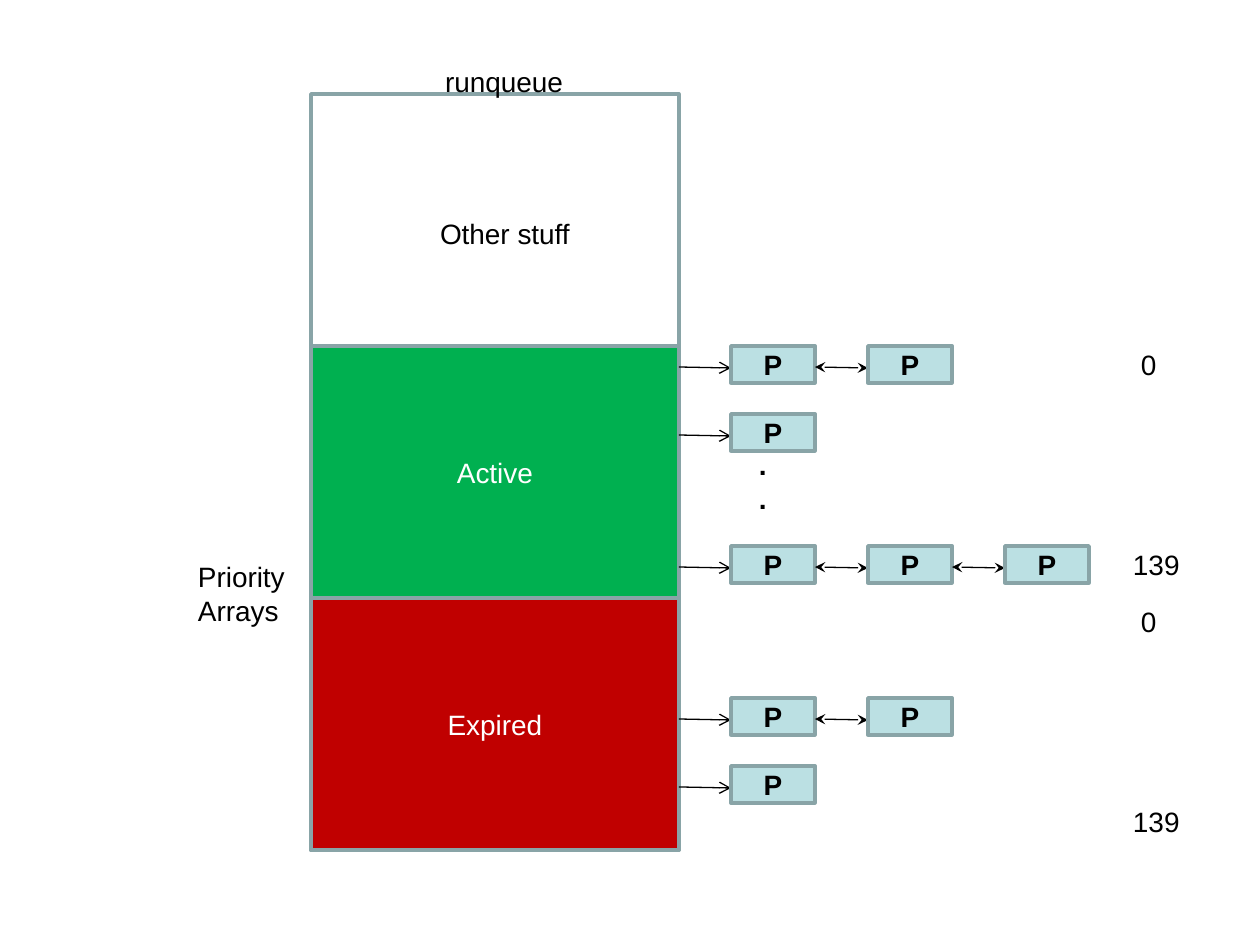
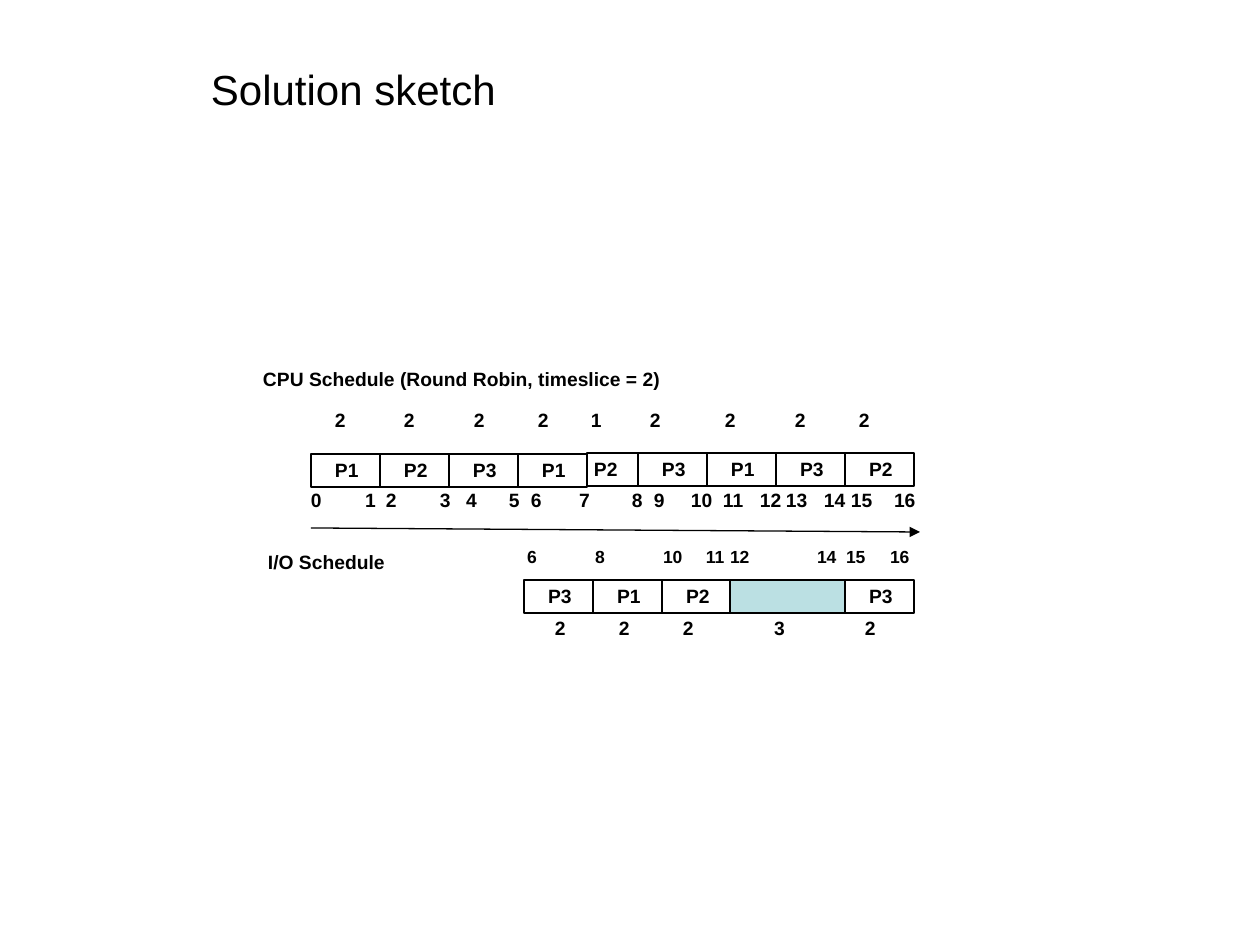
"""Build two scheduling slides: a run queue diagram and a round robin timeline."""
from dataclasses import dataclass
from itertools import accumulate
from typing import Optional

from pptx import Presentation
from pptx import util as u
from pptx.dml.color import RGBColor
from pptx.enum import shapes, text
from pptx.oxml import ns
from lxml import etree

BLACK = RGBColor(0x00, 0x00, 0x00)
WHITE = RGBColor(0xFF, 0xFF, 0xFF)
GREEN = RGBColor(0x00, 0xB0, 0x50)
RED = RGBColor(0xC0, 0x00, 0x00)
PALE_BLUE = RGBColor(0xBB, 0xE0, 0xE3)
SLATE = RGBColor(0x89, 0xA4, 0xA7)
FONT = "Arial"
PX_PER_INCH = 126
CENTER, LEFT = text.PP_ALIGN.CENTER, text.PP_ALIGN.LEFT
MIDDLE, TOP = text.MSO_ANCHOR.MIDDLE, text.MSO_ANCHOR.TOP


@dataclass(frozen=True)
class TextStyle:
    size: int
    bold: bool = False
    color: RGBColor = BLACK
    align: text.PP_ALIGN = LEFT
    anchor: text.MSO_ANCHOR = TOP
    inset_x: int = 13
    inset_y: int = 6


@dataclass(frozen=True)
class Label:
    words: str
    left: int
    top: int
    width: int
    height: int
    style: TextStyle


@dataclass(frozen=True)
class NumberRow:
    top: int
    left: int
    width: int
    size: int
    numbers: dict[int, int]


@dataclass(frozen=True)
class QueueRow:
    top: int
    processes: int


@dataclass(frozen=True)
class Slot:
    process: str
    width: int
    top: int
    indent: int = 24


PLAIN = TextStyle(16)
BAND_TEXT = TextStyle(16, color=WHITE, align=CENTER, anchor=MIDDLE)
PROCESS_TEXT = TextStyle(16, bold=True, align=CENTER, anchor=MIDDLE)
TITLE = TextStyle(24)
CAPTION = TextStyle(11, bold=True, inset_x=8, inset_y=4)

COLUMN_LEFT, COLUMN_TOP, COLUMN_WIDTH, BAND_HEIGHT = 311, 94, 368, 252
PROCESS_LEFT, PROCESS_STEP, PROCESS_WIDTH, PROCESS_HEIGHT = 731, 137, 84, 37
ARROW_DROP = 21
QUEUE_ROWS = [QueueRow(346, 2), QueueRow(414, 1), QueueRow(546, 3),
              QueueRow(698, 2), QueueRow(766, 1)]
QUEUE_LABELS = [
    Label(".\n.", 746, 442, 34, 81, TextStyle(16, bold=True)),
    Label("0", 1128, 342, 44, 47, PLAIN),
    Label("139", 1120, 542, 76, 47, PLAIN),
    Label("0", 1128, 599, 44, 47, PLAIN),
    Label("139", 1120, 799, 76, 47, PLAIN),
    Label("Other stuff", 427, 211, 160, 47, PLAIN),
    Label("Priority\nArrays", 185, 554, 124, 81, PLAIN),
    Label("runqueue", 432, 59, 148, 47, PLAIN),
]

SLOT_WIDTH, SLOT_HEIGHT = 69, 33
CPU_LEFT, IO_LEFT = 311, 524
CPU_SLOTS = [
    *(Slot(process, SLOT_WIDTH, 454) for process in ("P1", "P2", "P3", "P1")),
    Slot("P2", 51, 453, 7),
    *(Slot(process, SLOT_WIDTH, 453) for process in ("P3", "P1", "P3", "P2")),
]
IO_SLOTS = [
    Slot("P3", SLOT_WIDTH, 580), Slot("P1", SLOT_WIDTH, 580), Slot("P2", 68, 580),
    Slot("", 115, 580), Slot("P3", SLOT_WIDTH, 580),
]
NUMBER_ROWS = [
    NumberRow(404, 328, 586, 11, {335: 2, 404: 2, 474: 2, 538: 2, 591: 1, 650: 2,
                                  725: 2, 795: 2, 859: 2}),
    NumberRow(484, 304, 641, 11, {311: 0, 365: 1, 386: 2, 440: 3, 466: 4, 509: 5,
                                  531: 6, 579: 7, 632: 8, 654: 9, 691: 10, 723: 11,
                                  760: 12, 786: 13, 824: 14, 851: 15, 894: 16}),
    NumberRow(542, 510, 418, 10, {527: 6, 595: 8, 663: 10, 706: 11, 730: 12,
                                  817: 14, 846: 15, 890: 16}),
    NumberRow(612, 525, 382, 11, {555: 2, 619: 2, 683: 2, 774: 3, 865: 2}),
]
SKETCH_LABELS = [
    Label("Solution sketch", 198, 58, 316, 63, TITLE),
    Label("CPU Schedule (Round Robin, timeslice = 2)", 255, 363, 421, 32, CAPTION),
    Label("I/O Schedule", 260, 546, 147, 32, CAPTION),
]


def px(length: int) -> u.Emu:
    """Turn a length in px into EMU."""
    return u.Emu(round(length * 914400 / PX_PER_INCH))


def write(shape, words: str, style: TextStyle, wrap: bool = True) -> None:
    """Put styled text into a shape."""
    frame = shape.text_frame
    frame.text = words
    frame.word_wrap = wrap
    frame.vertical_anchor = style.anchor
    frame.margin_left = frame.margin_right = px(style.inset_x)
    frame.margin_top = frame.margin_bottom = px(style.inset_y)
    for para in frame.paragraphs:
        para.alignment = style.align
        for span in para.runs:
            span.font.name = FONT
            span.font.size = u.Pt(style.size)
            span.font.bold = style.bold
            span.font.color.rgb = style.color


def add_label(page, label: Label):
    """Add a text box."""
    box = page.shapes.add_textbox(px(label.left), px(label.top),
                                  px(label.width), px(label.height))
    write(box, label.words, label.style)
    return box


def add_box(page, left: int, top: int, width: int, height: int,
            line: RGBColor, weight: float, fill: Optional[RGBColor] = None):
    """Add an outlined rectangle, filled if a colour is given."""
    box = page.shapes.add_shape(shapes.MSO_SHAPE.RECTANGLE,
                                px(left), px(top), px(width), px(height))
    box.shadow.inherit = False
    if fill is None:
        box.fill.background()
    else:
        box.fill.solid()
        box.fill.fore_color.rgb = fill
    box.line.color.rgb = line
    box.line.width = u.Pt(weight)
    return box


def add_arrow(page, start: tuple[int, int], end: tuple[int, int],
              tail: str, head: Optional[str] = None) -> None:
    """Add a thin black line with arrowheads."""
    arrow = page.shapes.add_connector(shapes.MSO_CONNECTOR.STRAIGHT,
                                      *map(px, start), *map(px, end))
    arrow.line.color.rgb = BLACK
    arrow.line.width = u.Pt(0.75)
    line = arrow.line._get_or_add_ln()
    for tag, kind in (("a:headEnd", head), ("a:tailEnd", tail)):
        if kind:
            etree.SubElement(line, ns.qn(tag), type=kind)
    etree.SubElement(arrow._element.spPr, ns.qn("a:effectLst"))


def add_number_row(page, row: NumberRow) -> None:
    """Add numbers on one line, each at its own tab stop."""
    first, *others = row.numbers
    style = TextStyle(row.size, bold=True, inset_x=first - row.left, inset_y=4)
    words = "\t".join(map(str, row.numbers.values()))
    box = add_label(page, Label(words, row.left, row.top, row.width + style.inset_x,
                                32, style))
    properties = box.text_frame.paragraphs[0]._p.get_or_add_pPr()
    stops = etree.SubElement(properties, ns.qn("a:tabLst"))
    for position in others:
        etree.SubElement(stops, ns.qn("a:tab"), pos=str(px(position - first)), algn="l")


def add_queue_row(page, row: QueueRow) -> None:
    """Add a chain of linked processes that starts at the run queue."""
    start_y = row.top + ARROW_DROP
    end_y = start_y + 1
    for index in range(row.processes):
        left = PROCESS_LEFT + index * PROCESS_STEP
        if index == 0:
            add_arrow(page, (COLUMN_LEFT + COLUMN_WIDTH, start_y), (left, end_y), "arrow")
        else:
            previous_right = left - PROCESS_STEP + PROCESS_WIDTH
            add_arrow(page, (previous_right, start_y), (left, end_y), "stealth", "stealth")
        box = add_box(page, left, row.top, PROCESS_WIDTH, PROCESS_HEIGHT,
                      SLATE, 2, PALE_BLUE)
        write(box, "P", PROCESS_TEXT)


def add_slots(page, left: int, slots: list[Slot]) -> None:
    """Add adjoining time slots, with idle time shaded."""
    lefts = accumulate((slot.width for slot in slots), initial=left)
    for slot, slot_left in zip(slots, lefts):
        box = add_box(page, slot_left, slot.top, slot.width, SLOT_HEIGHT, BLACK, 0.75,
                      None if slot.process else PALE_BLUE)
        if slot.process:
            write(box, slot.process,
                  TextStyle(11, bold=True, inset_x=slot.indent, inset_y=4), False)


def build_run_queue(page) -> None:
    """Draw the run queue with its two priority arrays."""
    add_box(page, COLUMN_LEFT, COLUMN_TOP, COLUMN_WIDTH, 3 * BAND_HEIGHT, SLATE, 2)
    for index, words, fill in ((2, "Expired", RED), (1, "Active", GREEN)):
        band = add_box(page, COLUMN_LEFT, COLUMN_TOP + index * BAND_HEIGHT,
                       COLUMN_WIDTH, BAND_HEIGHT, SLATE, 2, fill)
        write(band, words, BAND_TEXT)
    for row in QUEUE_ROWS:
        add_queue_row(page, row)
    for label in QUEUE_LABELS:
        add_label(page, label)


def build_solution(page) -> None:
    """Draw the CPU and I/O schedules along the time arrow."""
    for label in SKETCH_LABELS:
        add_label(page, label)
    for row in NUMBER_ROWS:
        add_number_row(page, row)
    add_arrow(page, (311, 528), (920, 532), "triangle")
    add_slots(page, CPU_LEFT, CPU_SLOTS)
    add_slots(page, IO_LEFT, IO_SLOTS)


def main() -> None:
    """Build and save the deck."""
    deck = Presentation()
    deck.slide_width, deck.slide_height = u.Inches(10), u.Inches(7.5)
    for build in (build_run_queue, build_solution):
        build(deck.slides.add_slide(deck.slide_layouts[6]))
    deck.save("out.pptx")


if __name__ == "__main__":
    main()
